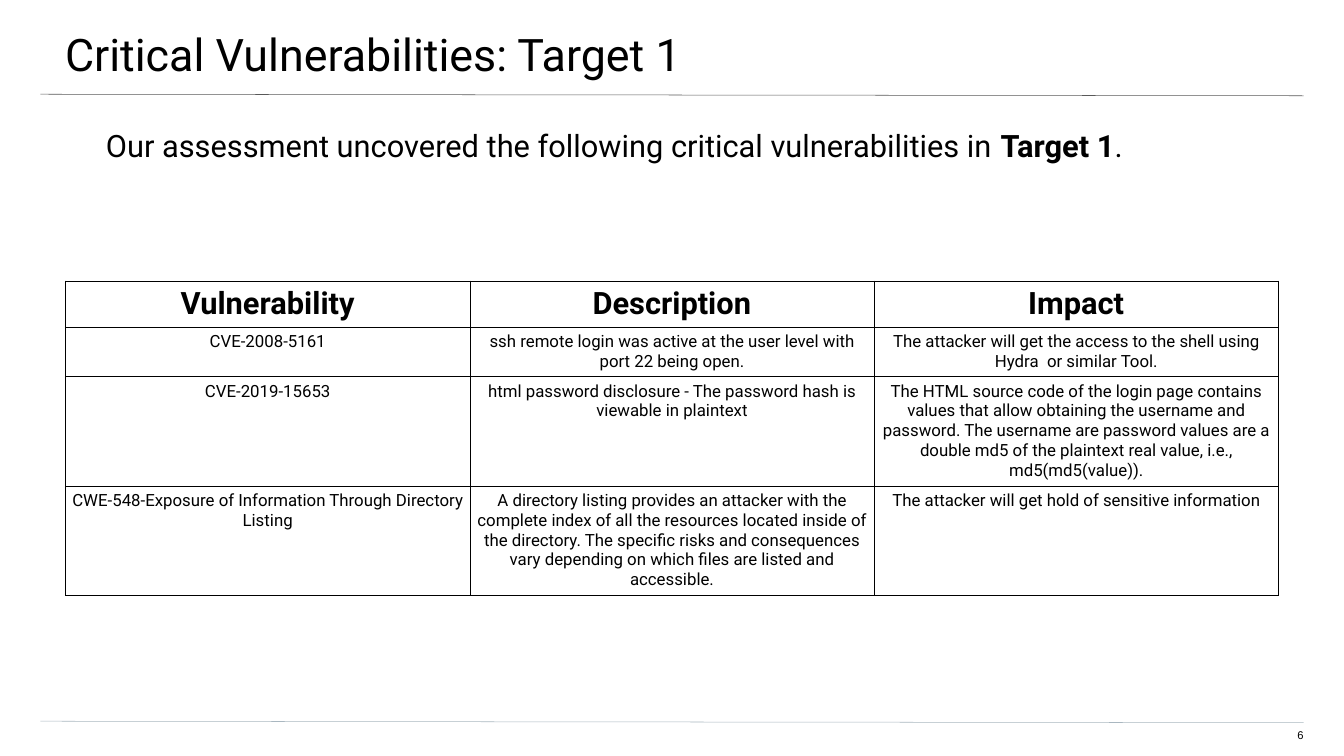
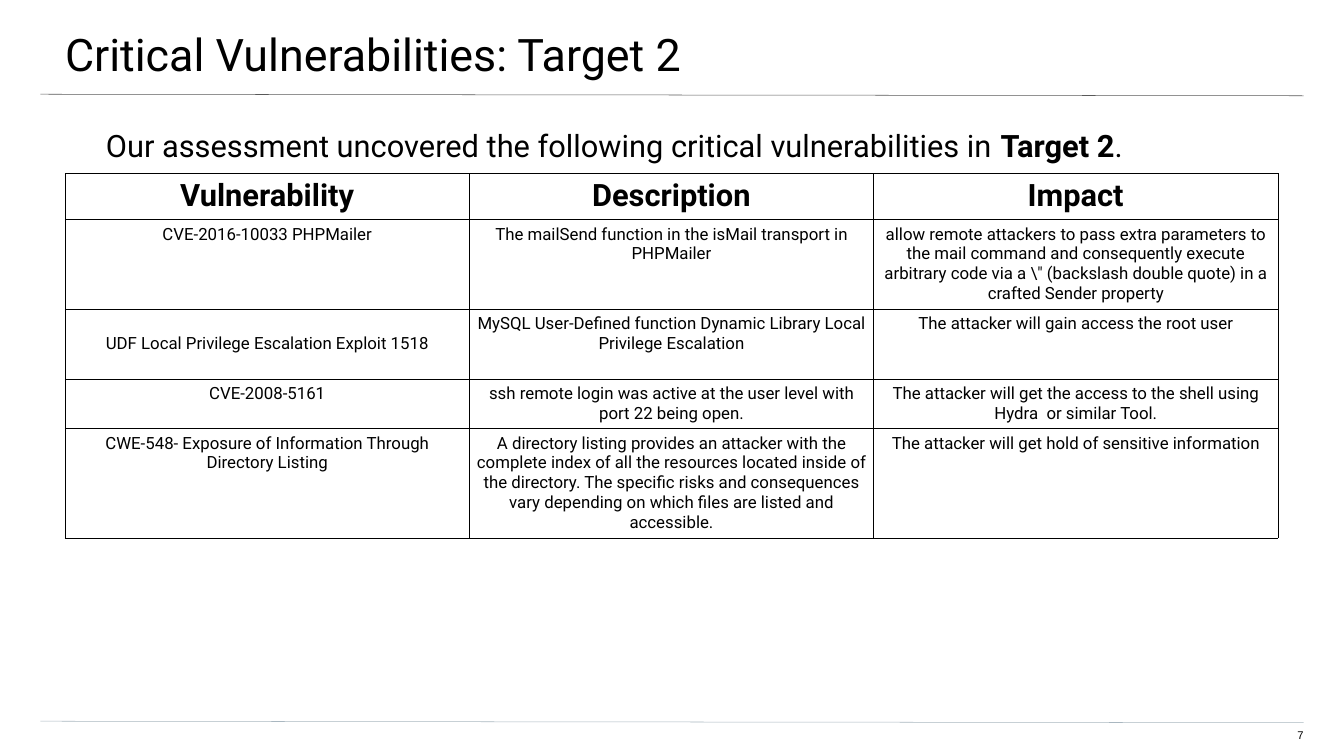
from lxml import etree
from pptx import Presentation
from pptx.dml.color import RGBColor
from pptx.enum import shapes, text
from pptx.oxml import ns
from pptx.util import Inches, Pt

COLORS = {"text": "000000", "border": "000000", "top_rule": "595959", "bottom_rule": "A9B7C0"}
FONT = "Roboto"
COLUMN_WIDTH = 8.02
HEADERS = ("Vulnerability", "Description", "Impact")
SSH_LOGIN = (
    "CVE-2008-5161",
    "ssh remote login was active at the user level with port 22 being open.",
    "The attacker will get the access to the shell using Hydra  or similar Tool.",
)
LISTING_DETAILS = (
    "A directory listing provides an attacker with the complete index of all the resources "
    "located inside of the directory. The specific risks and consequences vary depending on "
    "which files are listed and accessible.",
    "The attacker will get hold of sensitive information",
)
TARGETS = [
    {
        "name": "Target 1",
        "page": 6,
        "table_at": (1.3, 5.57),
        "heights": (0.91, 0.98, 2.17, 2.17),
        "rows": [
            SSH_LOGIN,
            (
                "CVE-2019-15653",
                "html password disclosure - The password hash is viewable in plaintext",
                "The HTML source code of the login page contains values that allow obtaining the "
                "username and password. The username are password values are a double md5 of the "
                "plaintext real value, i.e., md5(md5(value)).",
            ),
            ("CWE-548-Exposure of Information Through Directory Listing", *LISTING_DETAILS),
        ],
    },
    {
        "name": "Target 2",
        "page": 7,
        "table_at": (1.29, 3.44),
        "heights": (0.91, 1.77, 1.39, 0.98, 2.17),
        "middle_cell": (2, 0),
        "rows": [
            (
                "CVE-2016-10033 PHPMailer",
                "The mailSend function in the isMail transport in PHPMailer",
                "allow remote attackers to pass extra parameters to the mail command and "
                'consequently execute arbitrary code via a \\" (backslash double quote) in a '
                "crafted Sender property",
            ),
            (
                "UDF Local Privilege Escalation Exploit 1518",
                "MySQL User-Defined function Dynamic Library Local Privilege Escalation",
                "The attacker will gain access the root user",
            ),
            SSH_LOGIN,
            ("CWE-548- Exposure of Information Through Directory Listing", *LISTING_DETAILS),
        ],
    },
]


def rgb(name):
    """Return the named colour."""
    return RGBColor.from_string(COLORS[name])


def style(p, size, font=FONT, bold=False, align=text.PP_ALIGN.LEFT):
    """Format a whole paragraph."""
    p.alignment = align
    p.font.name, p.font.size, p.font.bold = font, Pt(size), bold
    p.font.color.rgb = rgb("text")


def set_frame(tf, left, top, right, bottom):
    """Set the insets, wrapping and top anchor of a text frame."""
    tf.margin_left, tf.margin_top = Inches(left), Inches(top)
    tf.margin_right, tf.margin_bottom = Inches(right), Inches(bottom)
    tf.word_wrap = True
    tf.auto_size = text.MSO_AUTO_SIZE.NONE
    tf.vertical_anchor = text.MSO_ANCHOR.TOP


def add_title(slide, box, title):
    """Place and format the title placeholder."""
    sp = slide.shapes.title
    sp.left, sp.top, sp.width, sp.height = map(Inches, box)
    set_frame(sp.text_frame, 1.33, 0.53, 0.8, 0.27)
    p = sp.text_frame.paragraphs[0]
    p.text = title
    style(p, 64)


def add_rule(slide, left, top, width, color):
    """Draw a thin, slightly falling rule across the slide."""
    line = slide.shapes.add_connector(
        shapes.MSO_CONNECTOR.STRAIGHT,
        Inches(left), Inches(top), Inches(left + width), Inches(top + 0.03),
    )
    line.line.color.rgb = rgb(color)
    line.line.width = Pt(0.75)
    etree.SubElement(line._element.spPr, ns.qn("a:effectLst"))


def add_page_number(slide, box, page):
    """Write the page number at the right of its box."""
    tf = slide.shapes.add_textbox(*map(Inches, box)).text_frame
    set_frame(tf, 0, 0, 0, 0.27)
    p = tf.paragraphs[0]
    p.text = str(page)
    style(p, 16, "Arial", align=text.PP_ALIGN.RIGHT)


def add_intro(slide, box, target):
    """Write the introductory sentence with the target in bold."""
    tf = slide.shapes.add_textbox(*map(Inches, box)).text_frame
    set_frame(tf, 1.33, 0, 1.33, 2.67)
    p = tf.paragraphs[0]
    style(p, 44)
    p.add_run().text = "Our assessment uncovered the following critical vulnerabilities in "
    r = p.add_run()
    r.text, r.font.bold = target, True
    p.add_run().text = "."


def add_borders(cell):
    """Draw all four borders of a cell."""
    tc_pr = cell._tc.get_or_add_tcPr()
    for i, side in enumerate(("lnL", "lnR", "lnT", "lnB")):
        ln = etree.Element(ns.qn(f"a:{side}"), w=str(Pt(0.75)))
        fill = etree.SubElement(ln, ns.qn("a:solidFill"))
        etree.SubElement(fill, ns.qn("a:srgbClr"), val=COLORS["border"])
        tc_pr.insert(i, ln)


def add_findings(slide, at, heights, rows, middle_cell=None):
    """Build the table of vulnerabilities under its header row."""
    left, top = at
    size = (left, top, COLUMN_WIDTH * len(HEADERS), sum(heights))
    table = slide.shapes.add_table(len(heights), len(HEADERS), *map(Inches, size)).table
    table.first_row = table.horz_banding = False
    for column in table.columns:
        column.width = Inches(COLUMN_WIDTH)
    for i, (height, values) in enumerate(zip(heights, [HEADERS, *rows])):
        table.rows[i].height = Inches(height)
        for j, value in enumerate(values):
            cell = table.cell(i, j)
            cell.margin_left = cell.margin_right = Inches(0.1)
            cell.margin_top = cell.margin_bottom = Inches(0.1)
            middle = (i, j) == middle_cell
            cell.vertical_anchor = text.MSO_ANCHOR.MIDDLE if middle else text.MSO_ANCHOR.TOP
            cell.fill.background()
            add_borders(cell)
            p = cell.text_frame.paragraphs[0]
            p.text = value
            style(p, 24 if i else 44, bold=i == 0, align=text.PP_ALIGN.CENTER)


def add_target_slide(prs, target):
    """Add the slide of critical vulnerabilities for one target."""
    slide = prs.slides.add_slide(prs.slide_layouts.get_by_name("Title Only"))
    add_rule(slide, 0.8, 1.87, 25.06, "top_rule")
    add_rule(slide, 0.8, 14.31, 25.06, "bottom_rule")
    add_title(slide, (-0.04, 0, 26.73, 1.56), f"Critical Vulnerabilities: {target['name']}")
    add_page_number(slide, (25.1, 14.46, 0.76, 0.31), target["page"])
    add_intro(slide, (0.77, 2.51, 25.09, 10.79), target["name"])
    add_findings(
        slide, target["table_at"], target["heights"], target["rows"], target.get("middle_cell")
    )


def main():
    """Build and save the presentation."""
    prs = Presentation()
    prs.slide_width, prs.slide_height = Inches(26.66), Inches(15)
    for target in TARGETS:
        add_target_slide(prs, target)
    prs.save("out.pptx")


if __name__ == "__main__":
    main()
